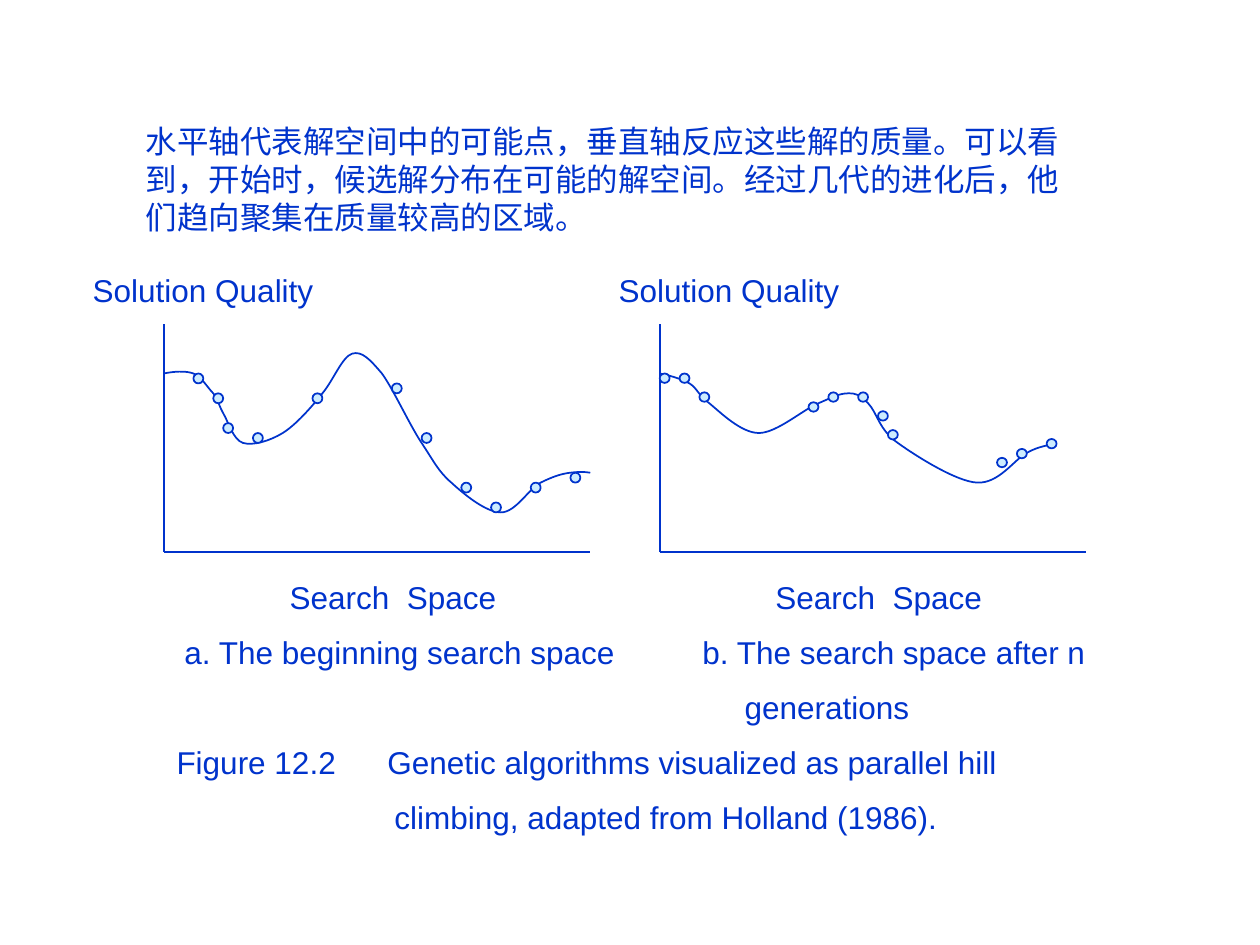
from lxml import etree
from pptx import Presentation
from pptx.dml.color import RGBColor
from pptx.enum.shapes import MSO_CONNECTOR, MSO_SHAPE
from pptx.enum.text import MSO_AUTO_SIZE
from pptx.oxml.ns import qn
from pptx.util import Cm, Pt

STRAIGHT = MSO_CONNECTOR.STRAIGHT
OVAL = MSO_SHAPE.OVAL
GROW = MSO_AUTO_SIZE.SHAPE_TO_FIT_TEXT
COLORS = {"ink": "0033CC", "dot": "CCECFF"}
UNIT = 0.2
TOP = 6.53
WIDE, HIGH = 43, 23

START = {
    "left": 3.3,
    "dot_high": 0.2,
    "curve": [
        (0, 5),
        (1, 4.8), (2.2, 4.7), (3, 5),
        (3.8, 5.3), (4.4, 6.4), (5, 7),
        (5.5, 7.6), (5.5, 8.1), (6, 9),
        (6.5, 9.8), (7, 11.7), (8, 12),
        (9, 12.3), (10.7, 11.8), (12, 11),
        (13.3, 10.2), (14.9, 8.4), (16, 7),
        (17.1, 5.7), (18, 3.3), (19, 3),
        (20, 2.7), (20.8, 3.6), (22, 5),
        (23.1, 6.5), (24.8, 10.2), (26, 12),
        (27.2, 13.8), (27.7, 14.9), (29, 16),
        (30.3, 17.2), (32.5, 19), (34, 19),
        (35.5, 19), (36.8, 16.6), (38, 16),
        (39.2, 15.4), (40.1, 15.1), (41, 15),
        (41.8, 14.9), (42.4, 14.9), (43, 15),
    ],
    "dots": [(3, 5), (5, 7), (6, 10), (9, 11), (15, 7), (23, 6),
             (26, 11), (30, 16), (33, 18), (37, 16), (41, 15)],
}
LATER = {
    "left": 13.3,
    "dot_high": 0.19,
    "curve": [
        (0, 5),
        (1, 5.2), (2.1, 5.5), (3, 6),
        (3.8, 6.5), (3.8, 7.1), (5, 8),
        (6.1, 8.9), (8.2, 11), (10, 11),
        (11.8, 11), (14.5, 8.6), (16, 8),
        (17.4, 7.4), (18.1, 7), (19, 7),
        (19.8, 7), (20.1, 7.1), (21, 8),
        (21.9, 8.9), (22.1, 10.7), (24, 12),
        (25.8, 13.3), (29.9, 15.9), (32, 16),
        (34.2, 16.1), (35.7, 13.7), (37, 13),
        (38.2, 12.3), (39.5, 12.2), (40, 12),
    ],
    "dots": [(22, 8.8), (23, 10.7), (0, 5), (15, 7.9), (34, 13.5), (39, 11.6),
             (20, 6.9), (4, 6.9), (2, 5), (17, 6.9), (36, 12.6)],
}

INTRO = ("水平轴代表解空间中的可能点，垂直轴反应这些解的质量。可以看到，开始时，"
         "候选解分布在可能的解空间。经过几代的进化后，他们趋向聚集在质量较高的区域。")
HEADS = [("\tSolution Quality\tSolution Quality", [0.53, 11.13])]
NOTES = [
    ("\tSearch  Space\tSearch  Space", [3.69, 13.48]),
    ("\ta. The beginning search space\tb. The search space after n", [1.57, 12.01]),
    ("\tgenerations", [12.86]),
    ("\tFigure 12.2\tGenetic algorithms visualized as parallel hill", [1.41, 5.66]),
    ("\tclimbing, adapted from Holland (1986).", [5.8]),
]


def color(name):
    return RGBColor.from_string(COLORS[name])


def place(left, point):
    return Cm(left + UNIT * point[0]), Cm(TOP + UNIT * point[1])


def ink(shape):
    shape.line.color.rgb = color("ink")
    shape.line.width = Pt(1)


def add_axis(group, left, end):
    line = group.shapes.add_connector(
        STRAIGHT, *place(left, (0, HIGH)), *place(left, end))
    ink(line)
    etree.SubElement(line._element.spPr, qn("a:effectLst"))


def add_curve(group, left, points):
    spots = [place(left, point) for point in points]
    pen = group.shapes.build_freeform(*spots[0])
    pen.add_line_segments(spots[1:], close=False)
    curve = pen.convert_to_shape()
    curve.fill.background()
    curve.shadow.inherit = False
    ink(curve)
    track = curve._element.find(".//" + qn("a:path"))
    steps = track.findall(qn("a:lnTo"))
    for i in range(0, len(steps), 3):
        bend = etree.SubElement(track, qn("a:cubicBezTo"))
        for step in steps[i:i + 3]:
            bend.append(step[0])
            track.remove(step)


def add_dot(group, left, point, high):
    dot = group.shapes.add_shape(OVAL, *place(left, point), Cm(UNIT), Cm(high))
    dot.shadow.inherit = False
    dot.fill.solid()
    dot.fill.fore_color.rgb = color("dot")
    ink(dot)


def add_plot(slide, plot):
    group = slide.shapes.add_group_shape()
    left = plot["left"]
    for end in [(WIDE, HIGH), (0, 0)]:
        add_axis(group, left, end)
    add_curve(group, left, plot["curve"])
    for point in plot["dots"]:
        add_dot(group, left, point, plot["dot_high"])


def set_tabs(para, stops):
    tabs = etree.SubElement(para._p.get_or_add_pPr(), qn("a:tabLst"))
    for stop in stops:
        etree.SubElement(tabs, qn("a:tab"), pos=str(Cm(stop)), algn="l")


def add_text(slide, box, lines):
    frame = slide.shapes.add_textbox(*[Cm(n) for n in box]).text_frame
    frame.word_wrap = True
    frame.auto_size = GROW
    for i, (text, stops) in enumerate(lines):
        para = frame.add_paragraph() if i else frame.paragraphs[0]
        para.text = text
        if stops:
            set_tabs(para, stops)
        if i:
            para.space_before = Pt(9.8)
        for run in para.runs:
            run.font.name = "Arial"
            run.font.size = Pt(18)
            run.font.color.rgb = color("ink")


def main():
    deck = Presentation()
    deck.slide_width, deck.slide_height = Cm(25.4), Cm(19.05)
    slide = deck.slides.add_slide(deck.slide_layouts[6])
    for plot in (START, LATER):
        add_plot(slide, plot)
    add_text(slide, (1.09, 5.33, 20.6, 1.02), HEADS)
    add_text(slide, (1.9, 11.53, 22, 5.61), NOTES)
    add_text(slide, (2.69, 2.34, 19, 2.57), [(INTRO, [])])
    deck.save("out.pptx")


if __name__ == "__main__":
    main()
